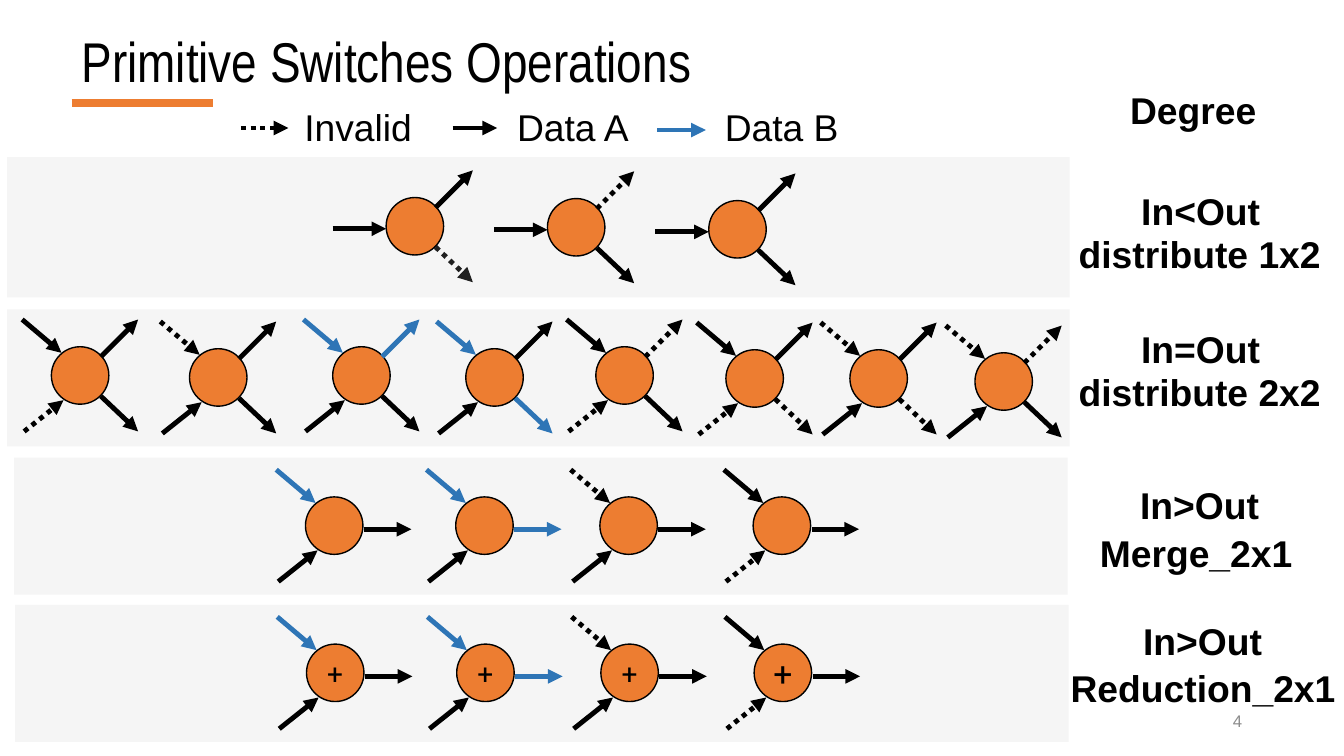
from lxml.etree import SubElement
from pptx import Presentation
from pptx.dml.color import RGBColor
from pptx.enum.dml import MSO_LINE
from pptx.enum.shapes import MSO_CONNECTOR, MSO_SHAPE
from pptx.enum.text import MSO_ANCHOR, MSO_AUTO_SIZE, PP_ALIGN
from pptx.oxml.ns import qn
from pptx.util import Emu, Pt

PX = 9144
ORANGE = RGBColor(0xED, 0x7D, 0x31)
BLACK = RGBColor(0, 0, 0)
DARK = RGBColor(0x20, 0x20, 0x20)
BLUE = RGBColor(0x2E, 0x75, 0xB6)
BAND = RGBColor(0xF5, 0xF5, 0xF5)
GRAY = RGBColor(0x8C, 0x8C, 0x8C)

TITLE = "Primitive Switches Operations"
SIGNALS = {"A": (BLACK, False), "B": (BLUE, False), "X": (BLACK, True), "x": (DARK, True)}
PORTS = {
    "in": (-53, 31, 0, 31),
    "in_top": (-29, -27, 10, 6),
    "in_bottom": (-27, 84, 12, 53),
    "out": (58, 32, 105, 32),
    "out_top": (49, 10, 86, -27),
    "out_bottom": (49, 49, 86, 84),
}
NODE = 57

DISTRIBUTE_1X2 = ("in", "out_top", "out_bottom")
DISTRIBUTE_2X2 = ("in_top", "in_bottom", "out_top", "out_bottom")
MERGE = ("in_top", "in_bottom", "out")
ROWS = [
    dict(band=(7, 156, 1054, 139), ports=DISTRIBUTE_1X2, sign="",
         nodes=[(383, 196, "AAx"), (543, 197, "AXA"), (703, 199, "AAA")]),
    dict(band=(7, 307, 1054, 136), ports=DISTRIBUTE_2X2, sign="",
         nodes=[(51, 344, "AXAA"), (188, 346, "XAAA"), (330, 344, "BABA"), (462, 346, "BAAB"),
                (591, 344, "AXXA"), (720, 347, "AXAX"), (843, 347, "XAAX"), (967, 350, "XAXA")]),
    dict(band=(14, 454, 1045, 136), ports=MERGE, sign="",
         nodes=[(303, 493, "BAA"), (452, 493, "BAB"), (595, 493, "XAA"), (747, 493, "AXA")]),
    dict(band=(15, 600, 1045, 136), ports=MERGE, sign="+",
         nodes=[(304, 639, "BAA"), (453, 639, "BAB"), (596, 639, "XAA"), (748, 639, "AXA")]),
]
SIGN_SIZES = {748: 24}
LEGEND = [
    ("Invalid", "X", (239, 127, 286, 127), (292, 99, 137, 57)),
    ("Data A", "A", (449, 127, 493, 127), (503, 99, 137, 57)),
    ("Data B", "B", (652, 129, 700, 129), (709, 99, 147, 57)),
]
DEGREES = [
    ("Degree", (1111, 82, 163, 57)),
    ("In<Out", (1122, 182, 145, 57)),
    ("distribute 1x2", (1060, 225, 264, 57)),
    ("In=Out", (1122, 319, 140, 57)),
    ("distribute 2x2", (1060, 361, 264, 57)),
    ("In>Out", (1121, 474, 140, 57)),
    ("Merge_2x1", (1081, 521, 221, 57)),
    ("In>Out", (1124, 608, 140, 57)),
    ("Reduction_2x1", (1052, 655, 284, 57)),
]


def emu(box):
    return [Emu(v * PX) for v in box]


def write(shape, text, size, color=BLACK, name="Arial", bold=False,
          align=PP_ALIGN.LEFT, anchor=MSO_ANCHOR.TOP):
    tf = shape.text_frame
    for key, value in dict(word_wrap=True, auto_size=MSO_AUTO_SIZE.NONE,
                           vertical_anchor=anchor).items():
        setattr(tf, key, value)
    p = tf.paragraphs[0]
    p.alignment = align
    r = p.add_run()
    r.text = text
    for key, value in dict(size=Pt(size), name=name, bold=bold).items():
        setattr(r.font, key, value)
    r.font.color.rgb = color
    return tf


def add_label(s, text, box, size=26.6, **style):
    write(s.shapes.add_textbox(*emu(box)), text, size, **style)


def add_solid(s, kind, box, fill):
    sp = s.shapes.add_shape(kind, *emu(box))
    sp.shadow.inherit = False
    sp.fill.solid()
    sp.fill.fore_color.rgb = fill
    sp.line.fill.background()
    return sp


def add_line(s, ends, color, width):
    c = s.shapes.add_connector(MSO_CONNECTOR.STRAIGHT, *emu(ends))
    c.line.color.rgb = color
    c.line.width = Pt(width)
    SubElement(c._element.spPr, qn("a:effectLst"))
    return c


def add_arrow(s, ends, signal):
    color, dotted = SIGNALS[signal]
    c = add_line(s, ends, color, 3.5)
    if dotted:
        c.line.dash_style = MSO_LINE.ROUND_DOT
    SubElement(c.line._get_or_add_ln(), qn("a:tailEnd"), type="triangle")


def add_node(s, x, y, signals, ports, sign):
    sp = add_solid(s, MSO_SHAPE.OVAL, (x, y, NODE, NODE), ORANGE)
    sp.line.color.rgb = BLACK
    sp.line.width = Pt(1)
    if sign:
        tf = write(sp, sign, SIGN_SIZES.get(x, 20), name="Roboto",
                   align=PP_ALIGN.CENTER, anchor=MSO_ANCHOR.MIDDLE)
        tf.margin_left = tf.margin_right = 0
    for port, signal in zip(ports, signals):
        x1, y1, x2, y2 = PORTS[port]
        add_arrow(s, (x + x1, y + y1, x + x2, y + y2), signal)


def main():
    prs = Presentation()
    prs.slide_width, prs.slide_height = emu((1333, 750))
    s = prs.slides.add_slide(prs.slide_layouts[5])
    title = s.shapes.title
    title.left, title.top, title.width, title.height = emu((71, 26, 1150, 76))
    tf = write(title, TITLE, 40, name="Arial Narrow", anchor=MSO_ANCHOR.MIDDLE)
    tf.paragraphs[0].line_spacing = 0.9
    add_line(s, (71, 102, 211, 102), ORANGE, 5.75)
    add_label(s, "4", (942, 695, 300, 40), 12, color=GRAY,
              align=PP_ALIGN.RIGHT, anchor=MSO_ANCHOR.MIDDLE)
    for row in ROWS:
        add_solid(s, MSO_SHAPE.RECTANGLE, row["band"], BAND)
        for x, y, signals in row["nodes"]:
            add_node(s, x, y, signals, row["ports"], row["sign"])
    for text, signal, ends, box in LEGEND:
        add_arrow(s, ends, signal)
        add_label(s, text, box)
    for text, box in DEGREES:
        add_label(s, text, box, bold=True)
    prs.save("out.pptx")


if __name__ == "__main__":
    main()
